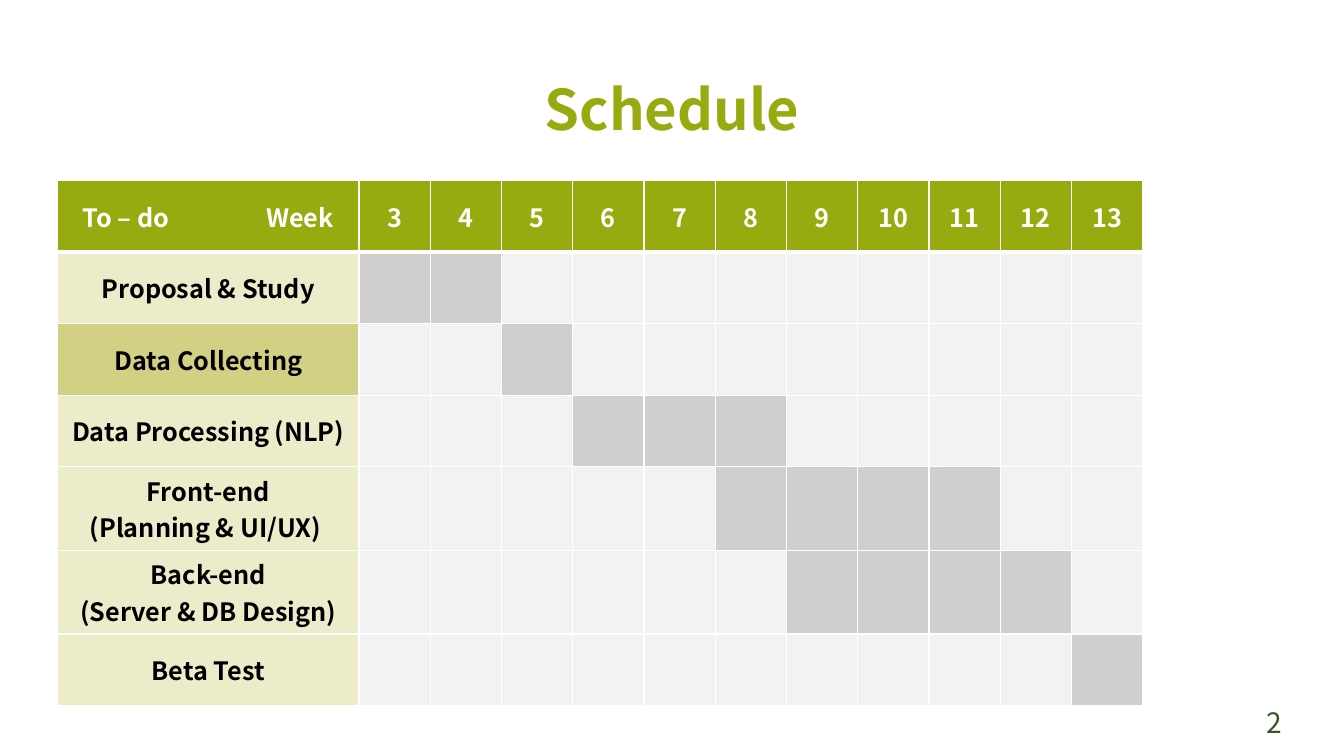
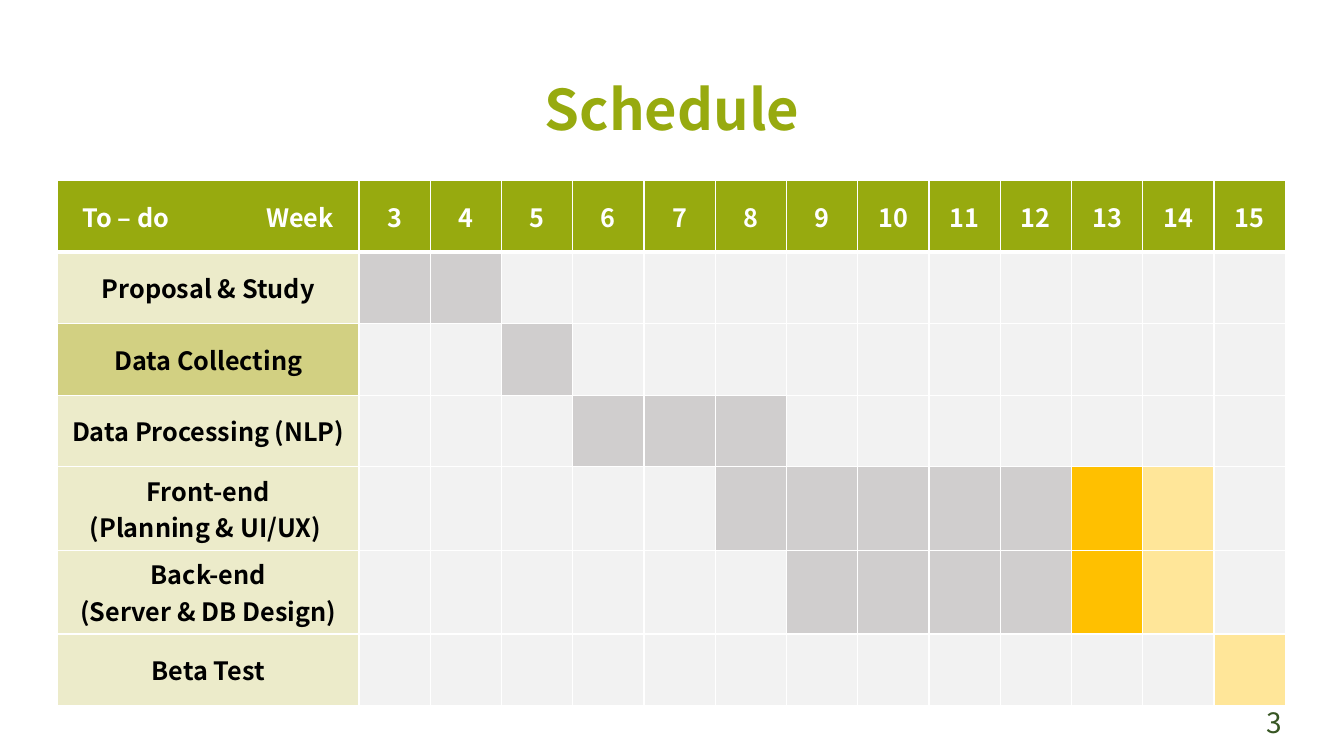
from lxml import etree
from pptx import Presentation
from pptx.dml.color import RGBColor
from pptx.enum.text import MSO_ANCHOR, PP_ALIGN
from pptx.oxml.ns import qn
from pptx.util import Inches, Pt

CENTER, LEFT = PP_ALIGN.CENTER, PP_ALIGN.LEFT
MIDDLE = MSO_ANCHOR.MIDDLE
FONT = "Noto Sans CJK KR"
COLORS = {
    "green": "97AA0F",
    "task": "ECEBCA",
    "task_accent": "D2D082",
    "idle": "F2F2F2",
    "planned": "D0CECE",
    "current": "FFC000",
    "extended": "FFE699",
    "number": "375623",
    "white": "FFFFFF",
    "black": "000000",
}

WIDTH, HEIGHT = 13.33, 7.5
TABLE_LEFT, TABLE_TOP = 0.57, 1.79
TASK_WIDTH = 2.99
WEEK_WIDTH = 9.19 / 13
ROW_HEIGHT, TALL_ROW_HEIGHT = 0.71, 0.83
FIRST_WEEK = 3
WEEK_TAB = 1.82

TASKS = [
    ["Proposal & Study"],
    ["Data Collecting"],
    ["Data Processing (NLP)"],
    ["Front-end", "(Planning & UI/UX) "],
    ["Back-end", "(Server & DB Design)"],
    ["Beta Test"],
]
ACCENT_ROW = 2
ROW_HEIGHTS = [ROW_HEIGHT] + [
    TALL_ROW_HEIGHT if len(lines) > 1 else ROW_HEIGHT for lines in TASKS
]

SCHEDULES = [
    {
        "number": 2,
        "last_week": 13,
        "spans": [
            (1, 3, 4, "planned"),
            (2, 5, 5, "planned"),
            (3, 6, 8, "planned"),
            (4, 8, 11, "planned"),
            (5, 9, 12, "planned"),
            (6, 13, 13, "planned"),
        ],
    },
    {
        "number": 3,
        "last_week": 15,
        "spans": [
            (1, 3, 4, "planned"),
            (2, 5, 5, "planned"),
            (3, 6, 8, "planned"),
            (4, 8, 12, "planned"),
            (5, 9, 12, "planned"),
            (4, 13, 13, "current"),
            (5, 13, 13, "current"),
            (4, 14, 14, "extended"),
            (5, 14, 14, "extended"),
            (6, 15, 15, "extended"),
        ],
    },
]


def write(text_frame, lines, size, color, bold, align):
    for index, line in enumerate(lines):
        paragraph = text_frame.paragraphs[0] if index == 0 else text_frame.add_paragraph()
        paragraph.alignment = align
        run = paragraph.add_run()
        run.text = line
        run.font.name = FONT
        run.font.size = Pt(size)
        run.font.bold = bold
        run.font.color.rgb = RGBColor.from_string(COLORS[color])


def style_cell(cell, fill, top, bottom):
    properties = cell._tc.get_or_add_tcPr()
    for side, width in (("L", 1), ("R", 1), ("T", top), ("B", bottom)):
        line = etree.SubElement(properties, qn(f"a:ln{side}"), w=str(Pt(width)))
        solid = etree.SubElement(line, qn("a:solidFill"))
        etree.SubElement(solid, qn("a:srgbClr"), val=COLORS["white"])
    cell.fill.solid()
    cell.fill.fore_color.rgb = RGBColor.from_string(COLORS[fill])
    cell.vertical_anchor = MIDDLE


presentation = Presentation()
presentation.slide_width = Inches(WIDTH)
presentation.slide_height = Inches(HEIGHT)
blank_layout = presentation.slide_layouts[6]

for schedule in SCHEDULES:
    slide = presentation.slides.add_slide(blank_layout)
    weeks = range(FIRST_WEEK, schedule["last_week"] + 1)
    row_count, column_count = len(ROW_HEIGHTS), len(weeks) + 1

    table = slide.shapes.add_table(
        row_count, column_count, Inches(TABLE_LEFT), Inches(TABLE_TOP),
        Inches(TASK_WIDTH + WEEK_WIDTH * len(weeks)), Inches(sum(ROW_HEIGHTS)),
    ).table
    table.horz_banding = False
    for row, height in zip(table.rows, ROW_HEIGHTS):
        row.height = Inches(height)
    for index, column in enumerate(table.columns):
        column.width = Inches(WEEK_WIDTH if index else TASK_WIDTH)

    fills = {
        (row, week): fill
        for row, start, end, fill in schedule["spans"]
        for week in range(start, end + 1)
    }
    for row in range(row_count):
        for column in range(column_count):
            if row == 0:
                fill = "green"
            elif column == 0:
                fill = "task_accent" if row == ACCENT_ROW else "task"
            else:
                fill = fills.get((row, weeks[column - 1]), "idle")
            top, bottom = (3 if row == 1 else 1), (3 if row == 0 else 1)
            style_cell(table.cell(row, column), fill, top, bottom)

    corner = table.cell(0, 0)
    corner.margin_left = Inches(0.25)
    write(corner.text_frame, ["To – do\tWeek"], 18, "white", True, LEFT)
    corner_properties = corner.text_frame.paragraphs[0]._p.get_or_add_pPr()
    tabs = etree.SubElement(corner_properties, qn("a:tabLst"))
    etree.SubElement(tabs, qn("a:tab"), pos=str(Inches(WEEK_TAB)), algn="l")

    for column, week in enumerate(weeks, 1):
        write(table.cell(0, column).text_frame, [str(week)], 18, "white", True, CENTER)
    for row, lines in enumerate(TASKS, 1):
        write(table.cell(row, 0).text_frame, lines, 18, "black", True, CENTER)

    number_box = slide.shapes.add_textbox(Inches(12.46), Inches(6.95), Inches(0.75), Inches(0.4))
    number_box.text_frame.word_wrap = True
    write(number_box.text_frame, [str(schedule["number"])], 20, "number", False, LEFT)

    title_box = slide.shapes.add_textbox(0, Inches(0.82), Inches(WIDTH), Inches(0.58))
    title_frame = title_box.text_frame
    title_frame.word_wrap = True
    title_frame.margin_left = title_frame.margin_right = 0
    title_frame.margin_top = title_frame.margin_bottom = 0
    write(title_frame, ["Schedule"], 40, "green", True, CENTER)
    title_frame.paragraphs[0].line_spacing = Pt(42)

presentation.save("out.pptx")
